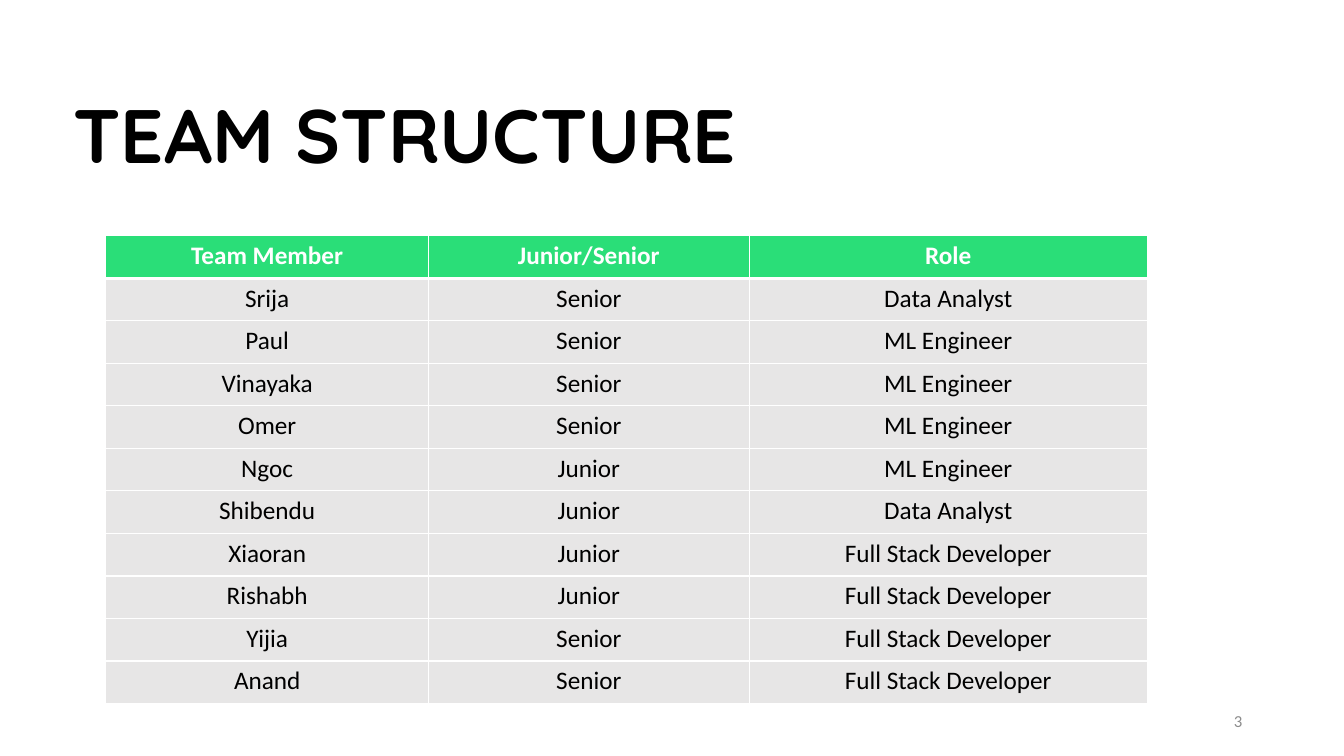
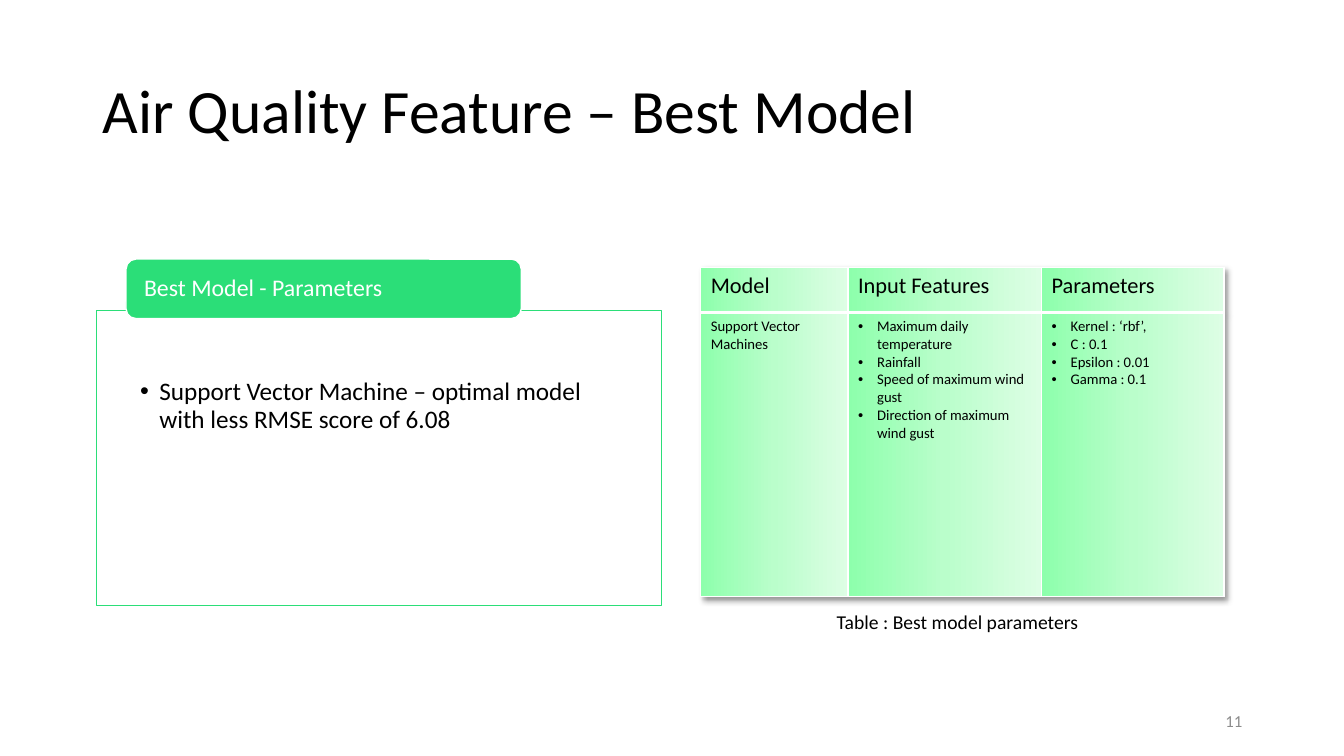
import pptx
import pptx.util
import pptx.dml.color
import pptx.enum.shapes
import pptx.enum.text
import pptx.oxml
import pptx.oxml.ns

Inches, Pt = pptx.util.Inches, pptx.util.Pt
Align = pptx.enum.text.PP_ALIGN
Anchor = pptx.enum.text.MSO_ANCHOR
NS = pptx.oxml.ns.nsdecls("a")

FONT, DISPLAY_FONT = "Calibri", "Quicksand"
BLACK, WHITE, GREY, PALE = "000000", "FFFFFF", "8C8C8C", "E7E6E6"
HEADER_GREEN, PANEL_GREEN = "2ADE78", "2BDE78"
MINT = [(0, "8DFFAC"), (50, "BAFECB"), (100, "DDFEE5")]
BULLET_INDENT = 0.19

TEAM = [
    ("Team Member", "Junior/Senior", "Role"),
    ("Srija", "Senior", "Data Analyst"),
    ("Paul", "Senior", "ML Engineer"),
    ("Vinayaka", "Senior", "ML Engineer"),
    ("Omer", "Senior", "ML Engineer"),
    ("Ngoc", "Junior", "ML Engineer"),
    ("Shibendu", "Junior", "Data Analyst"),
    ("Xiaoran", "Junior", "Full Stack Developer"),
    ("Rishabh", "Junior", "Full Stack Developer"),
    ("Yijia", "Senior", "Full Stack Developer"),
    ("Anand", "Senior", "Full Stack Developer"),
]
BEST_MODEL = [
    ("Model", "Input Features", "Parameters"),
    (
        "Support Vector Machines",
        ["Maximum daily temperature", "Rainfall", "Speed of maximum wind gust",
         "Direction of maximum wind gust"],
        ["Kernel : ‘rbf’,", "C : 0.1", "Epsilon : 0.01", "Gamma : 0.1"],
    ),
]
FINDING = "Support Vector Machine – optimal model with less RMSE score of 6.08"


def rgb(color):
    return pptx.dml.color.RGBColor.from_string(color)


def inches(values):
    return [Inches(value) for value in values]


def add_bullet(paragraph):
    properties = paragraph._p.get_or_add_pPr()
    properties.set("marL", str(Inches(BULLET_INDENT)))
    properties.set("indent", str(-Inches(BULLET_INDENT)))
    properties.append(pptx.oxml.parse_xml(f'<a:buFont {NS} typeface="Arial"/>'))
    properties.append(pptx.oxml.parse_xml(f'<a:buChar {NS} char="•"/>'))


def write(frame, lines, size, color=BLACK, font=FONT, bold=False,
          align=Align.LEFT, spacing=1.0, bullets=False):
    frame.text = "\n".join(lines)
    frame.word_wrap = True
    for paragraph in frame.paragraphs:
        paragraph.alignment = align
        paragraph.line_spacing = spacing
        paragraph.space_before = Pt(0)
        if bullets:
            add_bullet(paragraph)
        for run in paragraph.runs:
            run.font.size = Pt(size)
            run.font.name = font
            run.font.bold = bold
            run.font.color.rgb = rgb(color)


def place(shape, box):
    shape.left, shape.top, shape.width, shape.height = inches(box)


def set_margins(frame, left, top, right, bottom):
    frame.margin_left, frame.margin_top = Inches(left), Inches(top)
    frame.margin_right, frame.margin_bottom = Inches(right), Inches(bottom)


def paint(shape, fill, line):
    shape.fill.solid()
    shape.fill.fore_color.rgb = rgb(fill)
    shape.line.color.rgb = rgb(line)
    shape.line.width = Pt(1)
    shape.shadow.inherit = False


def add_text(slide, box, text, size, anchor=Anchor.TOP, **style):
    frame = slide.shapes.add_textbox(*inches(box)).text_frame
    frame.vertical_anchor = anchor
    write(frame, [text], size, **style)


def new_slide(deck, layout, title, title_box, number, size, anchor, **style):
    slide = deck.slides.add_slide(deck.slide_layouts[layout])
    heading = slide.shapes.title
    place(heading, title_box)
    frame = heading.text_frame
    frame.auto_size = pptx.enum.text.MSO_AUTO_SIZE.NONE
    frame.vertical_anchor = anchor
    write(frame, [title], size, spacing=0.9, **style)
    add_text(slide, (9.42, 6.95, 3, 0.4), number, 12, Anchor.MIDDLE,
             color=GREY, align=Align.RIGHT)
    return slide


def gradient(stops):
    marks = "".join(
        f'<a:gs pos="{position * 1000}"><a:srgbClr val="{color}"/></a:gs>'
        for position, color in stops)
    return pptx.oxml.parse_xml(
        f'<a:gradFill {NS} rotWithShape="1"><a:gsLst>{marks}</a:gsLst>'
        '<a:lin ang="0" scaled="0"/></a:gradFill>')


def add_borders(cell, top, bottom):
    widths = {"lnL": 1, "lnR": 1, "lnT": top, "lnB": bottom}
    for index, (side, width) in enumerate(widths.items()):
        border = pptx.oxml.parse_xml(
            f'<a:{side} {NS} w="{Pt(width)}"><a:solidFill><a:srgbClr val="{WHITE}"/>'
            f'</a:solidFill></a:{side}>')
        cell._tc.get_or_add_tcPr().insert(index, border)


def add_grid(slide, left, top, columns, rows, content, fills, styles):
    table = slide.shapes.add_table(
        len(rows), len(columns),
        *inches((left, top, sum(columns), sum(rows)))).table
    table.first_row = table.horz_banding = False
    for column, width in zip(table.columns, columns):
        column.width = Inches(width)
    for index, (row, height, entries) in enumerate(zip(table.rows, rows, content)):
        row.height = Inches(height)
        part = min(index, 1)
        for cell, entry in zip(row.cells, entries):
            listed = isinstance(entry, list)
            write(cell.text_frame, entry if listed else [entry],
                  bullets=listed, **styles[part])
            if isinstance(fills[part], str):
                cell.fill.solid()
                cell.fill.fore_color.rgb = rgb(fills[part])
            else:
                cell._tc.get_or_add_tcPr().append(gradient(fills[part]))
            add_borders(cell, 3 if index == 1 else 1, 3 if index == 0 else 1)
    return table


def add_table_shadow(table):
    table._tbl.tblPr.insert(0, pptx.oxml.parse_xml(
        f'<a:effectLst {NS}><a:outerShdw blurRad="50800" dist="38100" dir="2700000" '
        'algn="tl" rotWithShape="0"><a:srgbClr val="000000"><a:alpha val="40000"/>'
        '</a:srgbClr></a:outerShdw></a:effectLst>'))


def build_team(deck):
    slide = new_slide(deck, 5, "TEAM STRUCTURE", (0.63, 0.26, 12.08, 1.57), "3",
                      54, Anchor.BOTTOM, font=DISPLAY_FONT, bold=True)
    centred = dict(size=18, align=Align.CENTER)
    add_grid(slide, 1.05, 2.34, (3.2, 3.18, 3.95), [4.64 / len(TEAM)] * len(TEAM),
             TEAM, (HEADER_GREEN, PALE),
             (dict(centred, color=WHITE, bold=True), centred))


def build_best_model(deck):
    slide = new_slide(deck, 1, "Air Quality Feature – Best Model",
                      (0.92, 0.4, 11.5, 1.45), "11", 44, Anchor.MIDDLE)
    panel = slide.placeholders[1]
    place(panel, (0.96, 3.08, 5.6, 2.93))
    paint(panel, WHITE, PANEL_GREEN)
    panel.text_frame.auto_size = pptx.enum.text.MSO_AUTO_SIZE.NONE
    set_margins(panel.text_frame, 0.43, 0.68, 0.43, 0.14)
    write(panel.text_frame, [FINDING], 18, spacing=0.9, bullets=True)

    tab = slide.shapes.add_shape(
        pptx.enum.shapes.MSO_SHAPE.ROUNDED_RECTANGLE,
        *inches((1.25, 2.57, 3.92, 0.59)))
    paint(tab, PANEL_GREEN, WHITE)
    set_margins(tab.text_frame, 0.15, 0, 0.15, 0)
    tab.text_frame.vertical_anchor = Anchor.MIDDLE
    write(tab.text_frame, ["Best Model - Parameters"], 17, color=WHITE, spacing=0.9)

    parameters = add_grid(slide, 6.95, 2.65, (1.46, 1.92, 1.81), (0.45, 2.82),
                          BEST_MODEL, (MINT, MINT), (dict(size=16), dict(size=10.5)))
    add_table_shadow(parameters)
    add_text(slide, (8.2, 6, 2.9, 0.34), "Table : Best model parameters", 14)


def main():
    deck = pptx.Presentation()
    deck.slide_width, deck.slide_height = Inches(13.33), Inches(7.5)
    build_team(deck)
    build_best_model(deck)
    deck.save("out.pptx")


if __name__ == "__main__":
    main()
